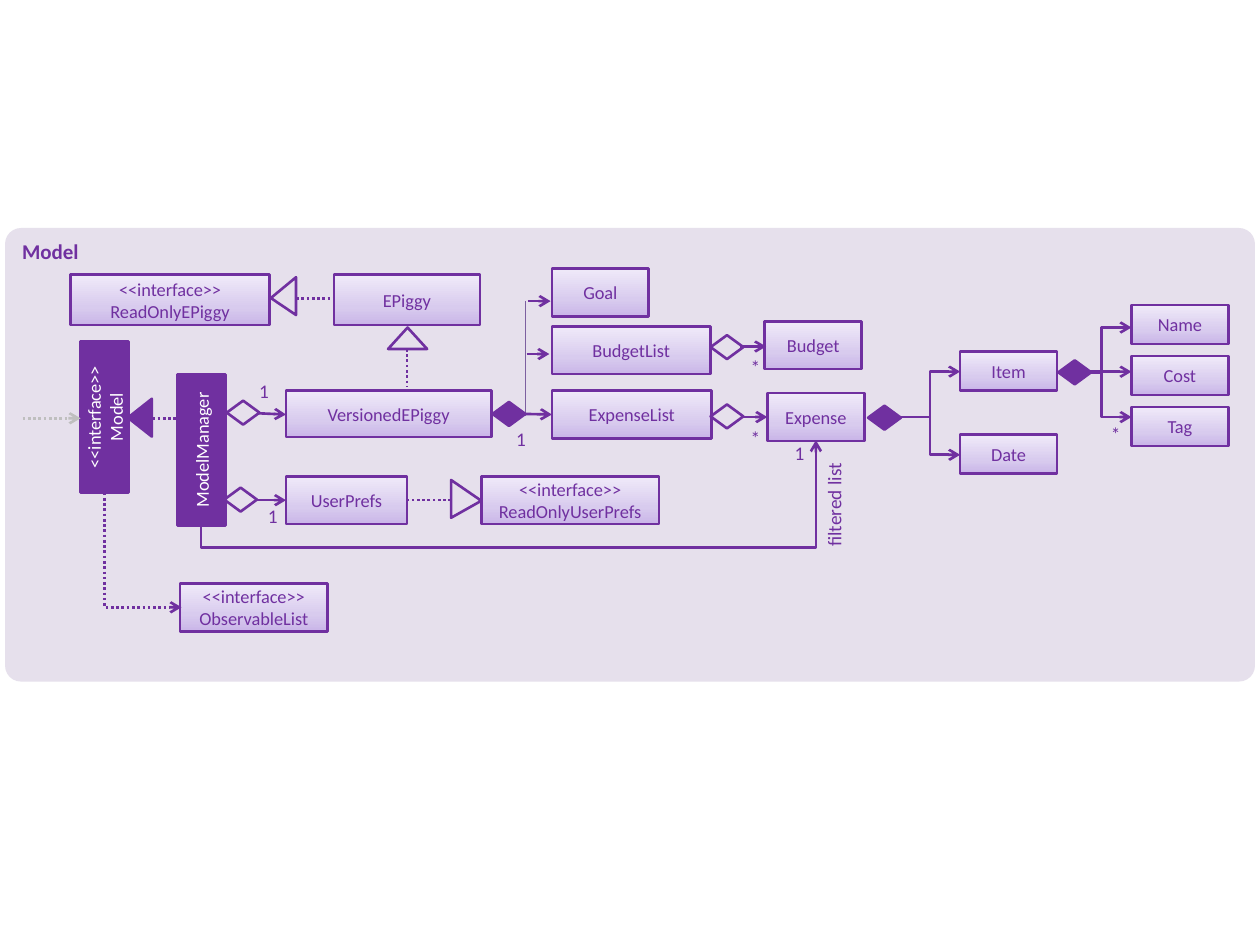
"""Build the Model component class diagram slide."""
from copy import deepcopy

from lxml import etree
from pptx import Presentation
from pptx.dml.color import RGBColor
from pptx.enum.dml import MSO_LINE
from pptx.enum.shapes import MSO_CONNECTOR, MSO_SHAPE
from pptx.enum.text import MSO_ANCHOR, PP_ALIGN
from pptx.oxml.ns import qn
from pptx.util import Inches, Pt

RECT, PANEL = MSO_SHAPE.RECTANGLE, MSO_SHAPE.ROUNDED_RECTANGLE
DIAMOND, TRIANGLE = MSO_SHAPE.FLOWCHART_DECISION, MSO_SHAPE.ISOSCELES_TRIANGLE
STRAIGHT, ELBOW = MSO_CONNECTOR.STRAIGHT, MSO_CONNECTOR.ELBOW
DOTTED = MSO_LINE.ROUND_DOT
MIDDLE, TOP = MSO_ANCHOR.MIDDLE, MSO_ANCHOR.TOP
CENTER, LEFT, RIGHT = PP_ALIGN.CENTER, PP_ALIGN.LEFT, PP_ALIGN.RIGHT

PURPLE, LAVENDER, WHITE, GREY = "7030A0", "E6E0EC", "FFFFFF", "BFBFBF"
BOX_GRADIENT = [(0, "C9B5E8"), (0.35, "D8CBEE"), (1, "F0EAF9")]
DIAMOND_W, DIAMOND_H = 0.26, 0.19
BOX_W, BOX_H, SMALL_H, TALL_H = 0.77, 0.38, 0.31, 0.4
LIST_X, ITEM_X, DETAIL_X = 4.38, 7.62, 8.98
DETAIL_Y, DETAIL_STEP = 2.42, 0.405

prs = Presentation()
prs.slide_width, prs.slide_height = Inches(10), Inches(7.5)
shapes = prs.slides.add_slide(prs.slide_layouts[6]).shapes


def color(hex_text):
    return RGBColor.from_string(hex_text)


def write(holder, text, size, ink, align=CENTER, anchor=MIDDLE, bold=False):
    frame = holder.text_frame
    frame.word_wrap = True
    frame.vertical_anchor = anchor
    frame.text = text
    for paragraph in frame.paragraphs:
        paragraph.alignment = align
        for run in paragraph.runs:
            run.font.name, run.font.size = "Calibri", Pt(size)
            run.font.bold = bold
            run.font.color.rgb = color(ink)


panel = shapes.add_shape(PANEL, *map(Inches, (0.04, 1.81, 9.92, 3.6)))
panel.adjustments[0] = 0.035
panel.shadow.inherit = False
panel.fill.solid()
panel.fill.fore_color.rgb = color(LAVENDER)
panel.line.fill.background()
write(panel, "Model", 12, PURPLE, LEFT, TOP, True)

classes = [
    ("<<interface>>\vReadOnlyEPiggy", 0.56, 2.18, 1.58, TALL_H),
    ("EPiggy", 2.65, 2.18, 1.16, TALL_H),
    ("VersionedEPiggy", 2.27, 3.1, 1.63, 0.37),
    ("UserPrefs", 2.27, 3.78, 0.96, BOX_H),
    ("<<interface>>\nReadOnlyUserPrefs", 3.82, 3.78, 1.41, BOX_H),
    ("<<interface>>\vObservableList", 1.43, 4.63, 1.17, BOX_H),
    ("Goal", LIST_X, 2.13, BOX_W, BOX_H),
    ("BudgetList", LIST_X, 2.59, 1.26, BOX_H),
    ("ExpenseList", LIST_X, 3.1, 1.27, BOX_H),
    ("Budget", 6.07, 2.55, BOX_W, BOX_H),
    ("Expense", 6.09, 3.12, BOX_W, BOX_H),
    ("Item", ITEM_X, 2.79, BOX_W, SMALL_H),
    ("Date", ITEM_X, 3.45, BOX_W, SMALL_H),
]
classes += [(name, DETAIL_X, DETAIL_Y + row * DETAIL_STEP, BOX_W, SMALL_H)
            for row, name in enumerate(["Name", "Cost", "Tag"])]
for name, *place in classes:
    box = shapes.add_shape(RECT, *map(Inches, place))
    box.shadow.inherit = False
    box.fill.gradient()
    box.fill.gradient_angle = 90
    first_stop = box._element.spPr.find(".//" + qn("a:gs"))
    first_stop.addnext(deepcopy(first_stop))
    for stop, (position, tint) in zip(box.fill.gradient_stops, BOX_GRADIENT):
        stop.position = position
        stop.color.rgb = color(tint)
    box.line.color.rgb = color(PURPLE)
    box.line.width = Pt(1.5)
    write(box, name, 10.5, PURPLE)

for name, x, y in [("<<interface>>\nModel", 0.23, 3.12), ("ModelManager", 1, 3.38)]:
    bar = shapes.add_shape(RECT, *map(Inches, (x, y, 1.2, BOX_H)))
    bar.rotation = 270
    bar.shadow.inherit = False
    bar.fill.solid()
    bar.fill.fore_color.rgb = color(PURPLE)
    bar.line.color.rgb = color(PURPLE)
    bar.line.width = Pt(1.5)
    write(bar, name, 10.5, WHITE)

solid_arrow = (PURPLE, 1.5, None, True)
dotted_line = (PURPLE, 1.5, DOTTED, False)
links = [
    (STRAIGHT, (2.05, 3.28), (2.27, 3.29), solid_arrow),
    (STRAIGHT, (2.04, 3.97), (2.27, 3.97), solid_arrow),
    (STRAIGHT, (3.91, 3.28), (LIST_X, 3.29), solid_arrow),
    (STRAIGHT, (4.18, 2.81), (4.36, 2.81), solid_arrow),
    (STRAIGHT, (4.19, 2.39), (4.37, 2.39), solid_arrow),
    (STRAIGHT, (5.87, 2.75), (6.08, 2.75), solid_arrow),
    (STRAIGHT, (5.9, 3.31), (6.09, 3.31), solid_arrow),
    (ELBOW, (7.14, 3.31), (ITEM_X, 2.95), solid_arrow),
    (ELBOW, (7.14, 3.31), (ITEM_X, 3.61), solid_arrow),
    (ELBOW, (8.5, 2.96), (DETAIL_X, 2.6), solid_arrow),
    (STRAIGHT, (8.55, 2.95), (DETAIL_X, 2.95), solid_arrow),
    (ELBOW, (8.5, 2.96), (DETAIL_X, 3.31), solid_arrow),
    (STRAIGHT, (0.18, 3.32), (0.64, 3.32), (GREY, 1.5, DOTTED, True)),
    (STRAIGHT, (1.21, 3.32), (1.44, 3.32), dotted_line),
    (STRAIGHT, (3.23, 2.77), (3.23, 3.07), dotted_line),
    (STRAIGHT, (2.35, 2.37), (2.65, 2.37), dotted_line),
    (STRAIGHT, (3.58, 3.97), (3.23, 3.97), dotted_line),
    (STRAIGHT, (4.17, 3.3), (4.17, 2.39), ("7D60A0", 0.75, None, False)),
    (ELBOW, (4.37, 6.27), (3.7, 1.39), solid_arrow),
    (ELBOW, (1.59, 4.06), (0.68, 4.67), (PURPLE, 1.5, DOTTED, True)),
]
for kind, start, end, (ink, width, dash, arrow) in links:
    link = shapes.add_connector(kind, *map(Inches, start + end))
    link.line.color.rgb = color(ink)
    link.line.width = Pt(width)
    if dash:
        link.line.dash_style = dash
    if arrow:
        etree.SubElement(link.line._get_or_add_ln(), qn("a:tailEnd"), type="arrow")
    etree.SubElement(link._element.spPr, qn("a:effectLst"))

filtered_link, observer_link = list(shapes)[-2:]
filtered_link._element.spPr.xfrm.set("rot", str(90 * 60000))
bend = filtered_link._element.spPr.find(qn("a:prstGeom")).get_or_add_avLst()
etree.SubElement(bend, qn("a:gd"), name="adj1", fmla="val -26700")
observer_link._element.spPr.xfrm.set("rot", str(270 * 60000))
observer_link._element.spPr.find(qn("a:prstGeom")).set("prst", "bentConnector2")

symbols = [(DIAMOND, x, y, DIAMOND_W, DIAMOND_H, 0, fill, None) for x, y, fill in [
    (1.8, 3.18, None), (1.78, 3.87, None), (5.64, 2.66, None), (5.64, 3.21, None),
    (3.91, 3.19, PURPLE), (6.89, 3.22, PURPLE), (8.4, 2.86, PURPLE)]]
symbols += [
    (TRIANGLE, 0.96, 3.22, 0.3, 0.19, 270, PURPLE, 0.5),
    (TRIANGLE, 3.08, 2.6, 0.31, 0.17, 0, LAVENDER, 0.5),
    (TRIANGLE, 2.1, 2.25, 0.3, 0.2, 270, LAVENDER, 0.45),
    (TRIANGLE, 3.55, 3.84, 0.3, 0.24, 90, LAVENDER, 0.55),
]
for kind, x, y, width, height, turn, fill, apex in symbols:
    symbol = shapes.add_shape(kind, *map(Inches, (x, y, width, height)))
    symbol.rotation = turn
    symbol.shadow.inherit = False
    if apex:
        symbol.adjustments[0] = apex
    if fill:
        symbol.fill.solid()
        symbol.fill.fore_color.rgb = color(fill)
    else:
        symbol.fill.background()
    symbol.line.color.rgb = color(PURPLE)
    symbol.line.width = Pt(1.5)

for mark, x, y in [("1", 4.03, 3.39), ("*", 5.89, 3.38), ("1", 1.99, 3.01), ("1", 2.06, 4),
                   ("1", 6.24, 3.5), ("*", 5.89, 2.82), ("*", 8.75, 3.35)]:
    multiplicity = shapes.add_textbox(*map(Inches, (x, y, 0.21, 0.2)))
    frame = multiplicity.text_frame
    frame.margin_left = frame.margin_right = frame.margin_top = frame.margin_bottom = 0
    write(multiplicity, mark, 11, PURPLE, anchor=TOP)

filtered_label = shapes.add_textbox(*map(Inches, (6.14, 3.91, 0.96, 0.29)))
filtered_label.rotation = 270
write(filtered_label, "filtered list", 11, PURPLE, RIGHT, TOP)

prs.save("out.pptx")
